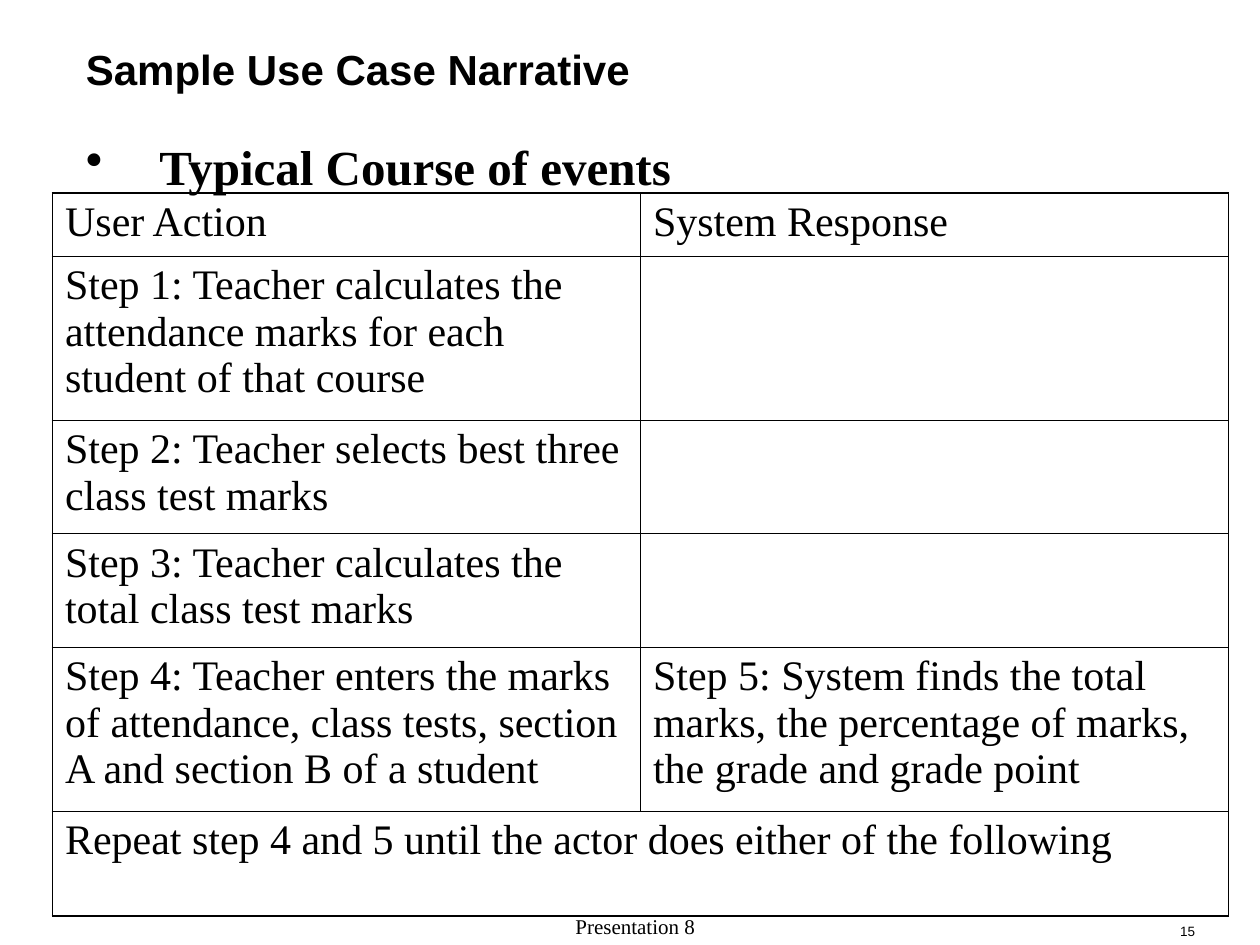
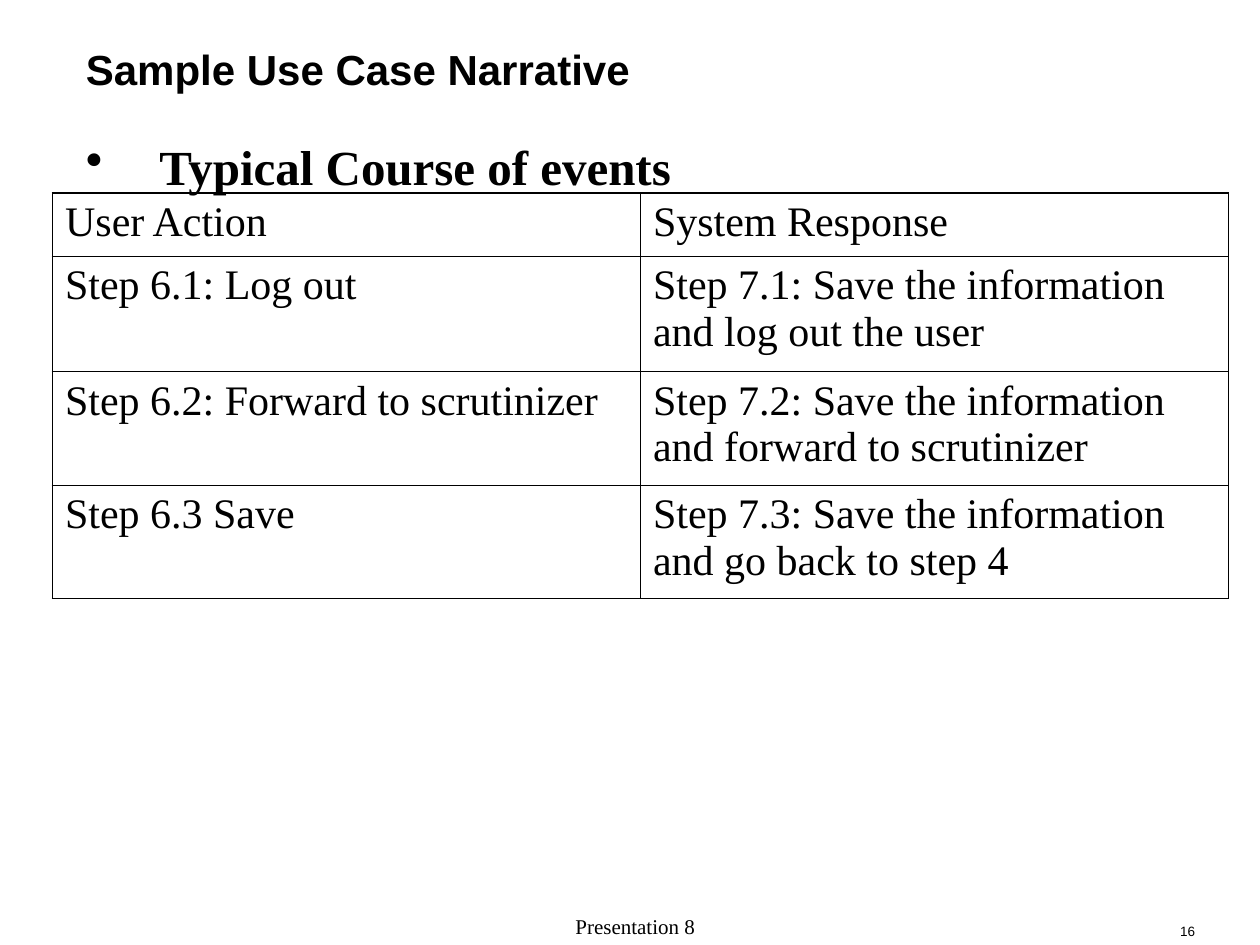
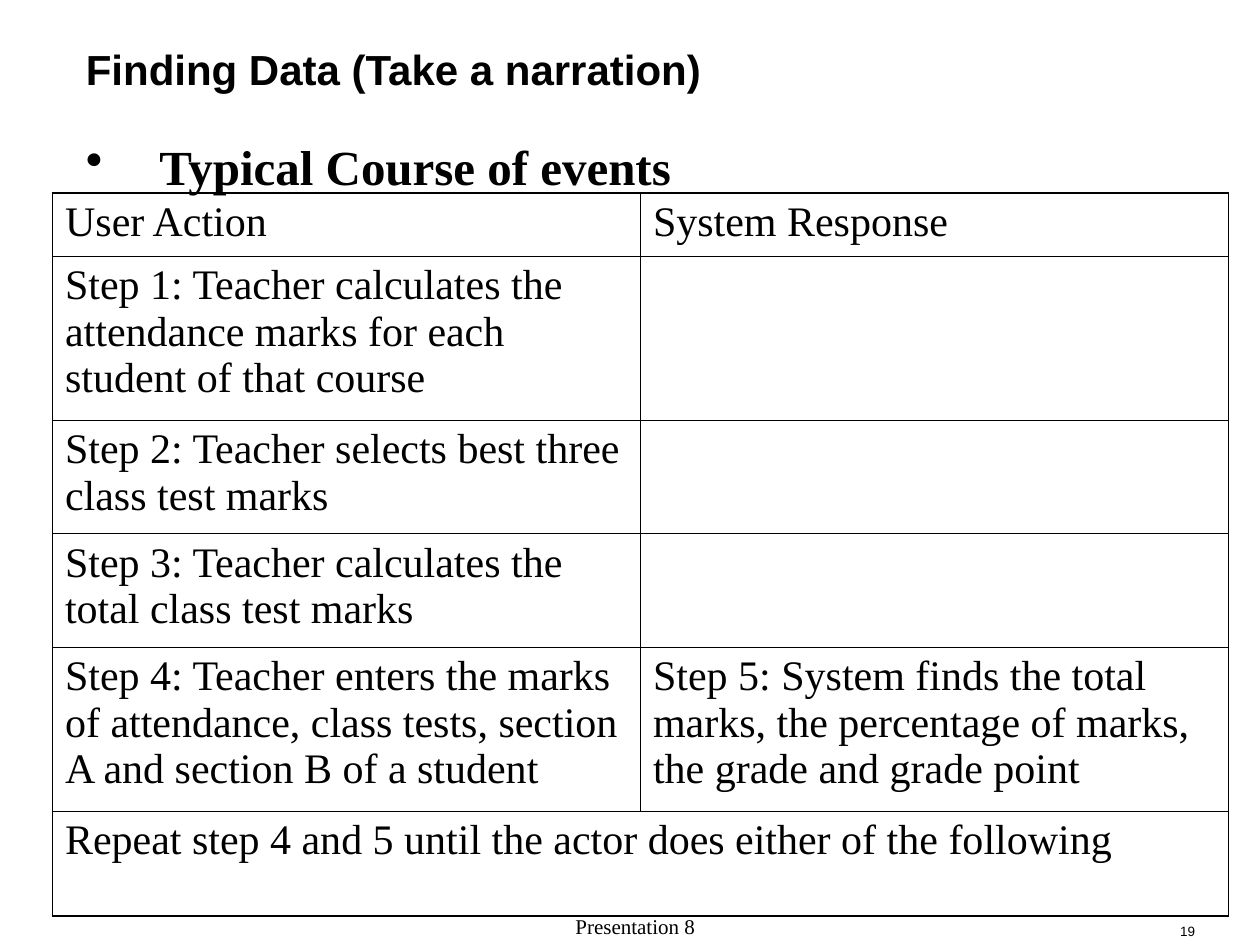
import pptx
import pptx.util
import pptx.dml.color
import pptx.enum.text
import pptx.oxml

PX = 7620  # EMU per px, 120 px to the inch
ALIGN = pptx.enum.text.PP_ALIGN
ANCHOR = pptx.enum.text.MSO_ANCHOR


class Theme:
    ink = "000000"
    thick, thin = 1.08, 0.45
    title = {"name": "Arial", "size": 24, "bold": True}
    head = {"name": "Times New Roman", "size": 28, "bold": True}
    cell = {"name": "Times New Roman", "size": 24}
    foot = {"name": "Times New Roman", "size": 12}
    page = {"name": "Arial", "size": 7.7}


def style(para, text, form):
    para.text = text
    font = para.font if not text else para.runs[0].font
    for key, val in form.items():
        setattr(font, key, pptx.util.Pt(val) if key == "size" else val)
    font.color.rgb = pptx.dml.color.RGBColor.from_string(Theme.ink)


def label(slide, box, text, form, anchor, align=ALIGN.LEFT):
    shape = slide.shapes.add_textbox(*[n * PX for n in box])
    frame = shape.text_frame
    frame.word_wrap = True
    frame.vertical_anchor = anchor
    para = frame.paragraphs[0]
    para.alignment = align
    style(para, text, form)
    return frame


# Table content: row height in px, then the cells; one cell spans both columns
top = (60, "User Action", "System Response")
marks = [
    top,
    (156, "Step 1: Teacher calculates the attendance marks for each student of that course", ""),
    (108, "Step 2: Teacher selects best three class test marks", ""),
    (108, "Step 3: Teacher calculates the total class test marks", ""),
    (156, "Step 4: Teacher enters the marks of attendance, class tests, section A and section B of a student",
     "Step 5: System finds the total marks, the percentage of marks, the grade and grade point"),
    (100, "Repeat step 4 and 5 until the actor does either of the following"),
]
ends = [
    top,
    (110, "Step 6.1: Log out", "Step 7.1: Save the information and log out the user"),
    (108, "Step 6.2: Forward to scrutinizer", "Step 7.2: Save the information and forward to scrutinizer"),
    (108, "Step 6.3 Save", "Step 7.3: Save the information and go back to step 4"),
]
pages = [
    ("Sample Use Case Narrative", "15", marks),
    ("Sample Use Case Narrative", "16", ends),
    ("Finding Data (Take a narration)", "19", marks),
]

deck = pptx.Presentation()
deck.slide_width, deck.slide_height = 1200 * PX, 900 * PX

for title, num, rows in pages:
    slide = deck.slides.add_slide(deck.slide_layouts[6])

    # Footer and page number
    label(slide, (410, 870, 390, 30), "Presentation 8", Theme.foot, ANCHOR.BOTTOM, ALIGN.CENTER)
    frame = label(slide, (1010, 870, 140, 30), num, Theme.page, ANCHOR.BOTTOM, ALIGN.RIGHT)
    frame.paragraphs[0].line_spacing = 0.8

    # Title and bullet heading
    label(slide, (70, 30, 1130, 70), title, Theme.title, ANCHOR.MIDDLE)
    frame = label(slide, (70, 120, 1098, 70), "Typical Course of events", Theme.head, ANCHOR.TOP)
    frame.margin_top = 10 * PX
    props = frame.paragraphs[0]._p.get_or_add_pPr()
    props.set("marL", str(70 * PX))
    props.set("indent", str(-70 * PX))
    mark = pptx.oxml.parse_xml('<a:buChar xmlns:a="http://schemas.openxmlformats.org/drawingml/2006/main" char="•"/>')
    props.append(mark)

    # Table of steps
    high = sum(row[0] for row in rows)
    grid = slide.shapes.add_table(len(rows), 2, 50 * PX, 184 * PX, 1120 * PX, high * PX).table
    grid.first_row = grid.horz_banding = False
    last = len(rows) - 1
    for r, (tall, *texts) in enumerate(rows):
        grid.rows[r].height = tall * PX
        wide = len(texts) == 1
        if wide:
            grid.cell(r, 0).merge(grid.cell(r, 1))
        for c in range(2):
            cell = grid.cell(r, c)
            if c < len(texts):
                style(cell.text_frame.paragraphs[0], texts[c], Theme.cell)
            # Thick lines outside, thin lines inside
            edges = {"lnL": c == 0 or wide, "lnR": c == 1 or wide, "lnT": r == 0, "lnB": r == last}
            for tag, outer in edges.items():
                width = pptx.util.Pt(Theme.thick if outer else Theme.thin)
                line = pptx.oxml.parse_xml(
                    f'<a:{tag} xmlns:a="http://schemas.openxmlformats.org/drawingml/2006/main" w="{width}">'
                    f'<a:solidFill><a:srgbClr val="{Theme.ink}"/></a:solidFill></a:{tag}>')
                cell._tc.get_or_add_tcPr().append(line)
            cell.fill.background()

deck.save("out.pptx")
